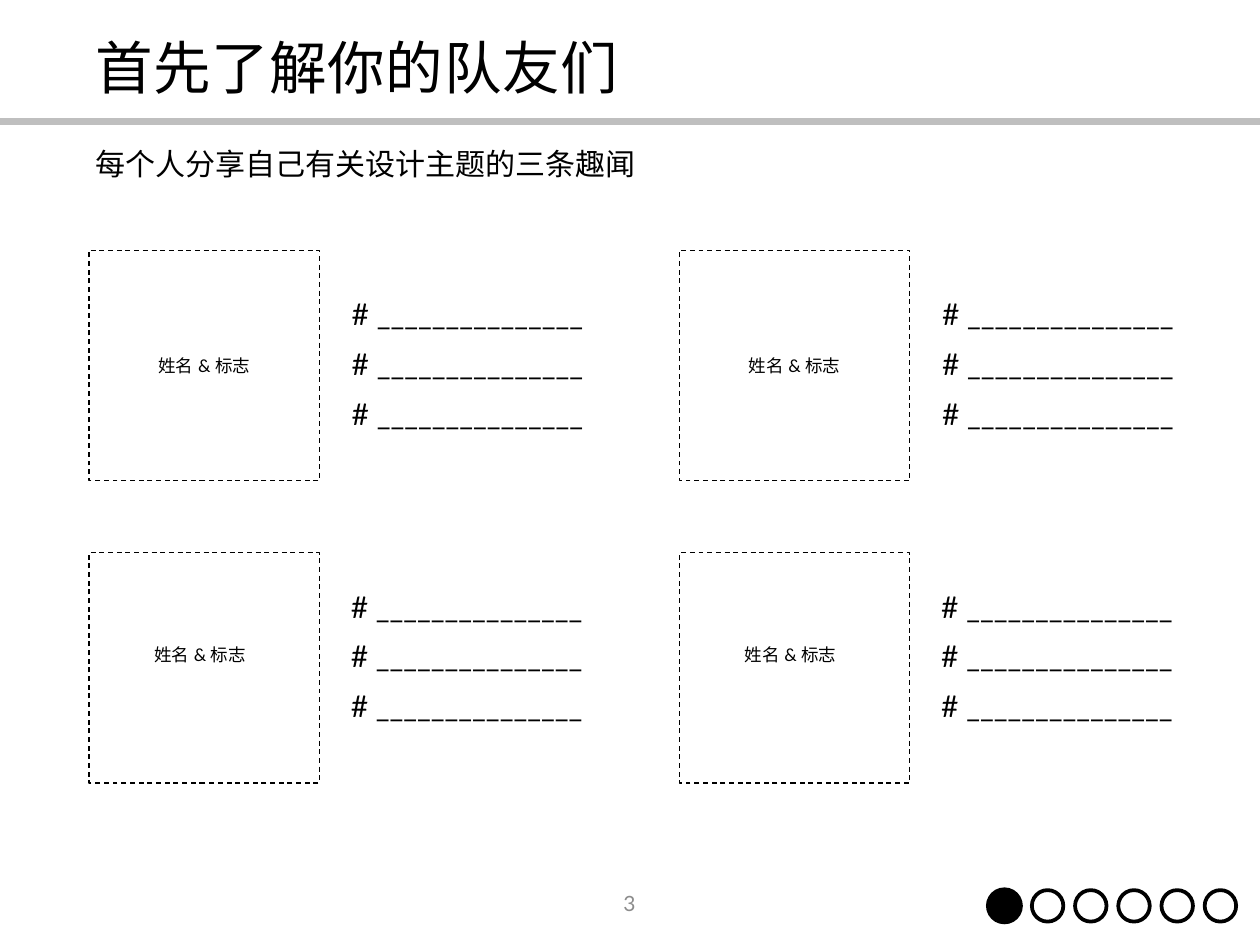
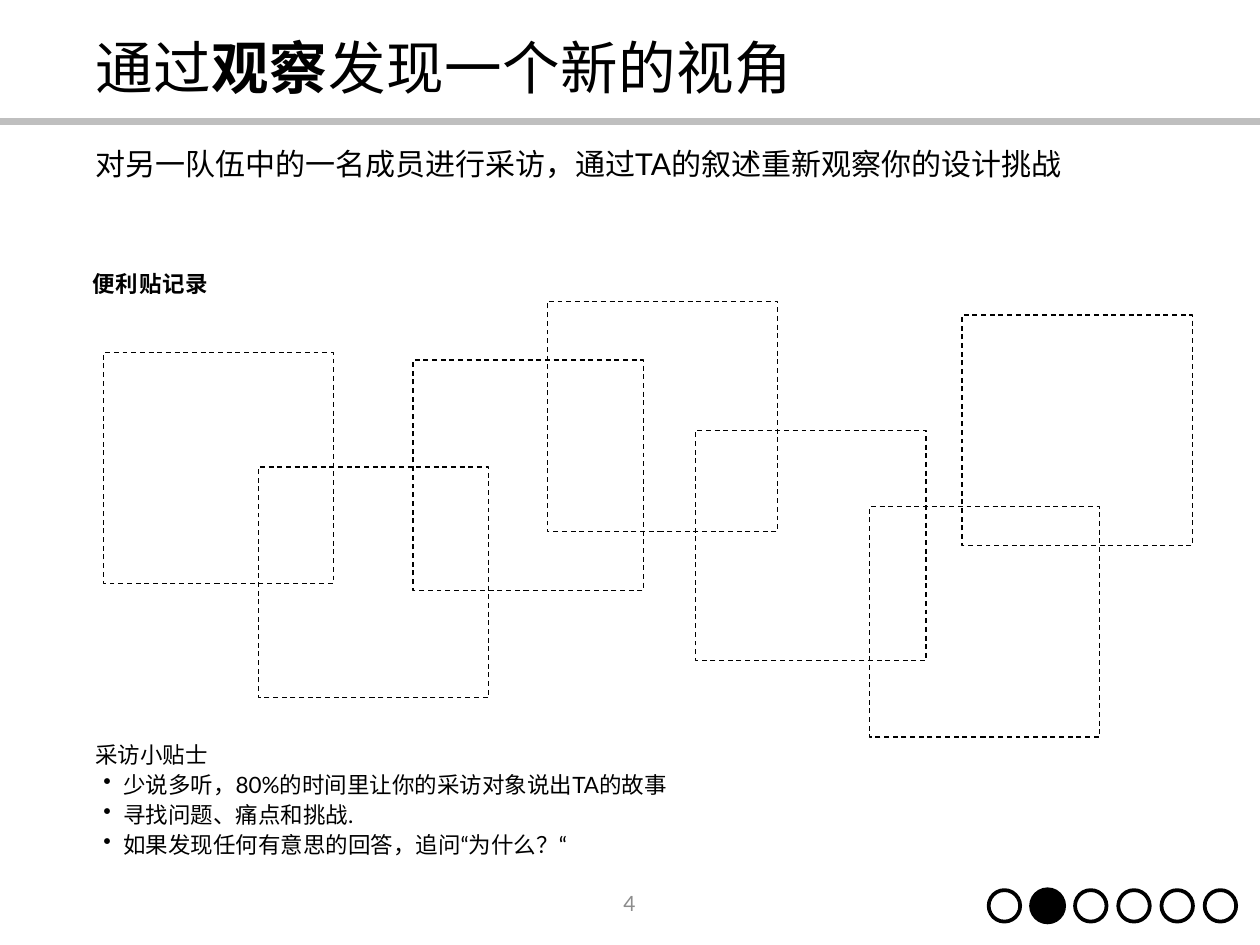
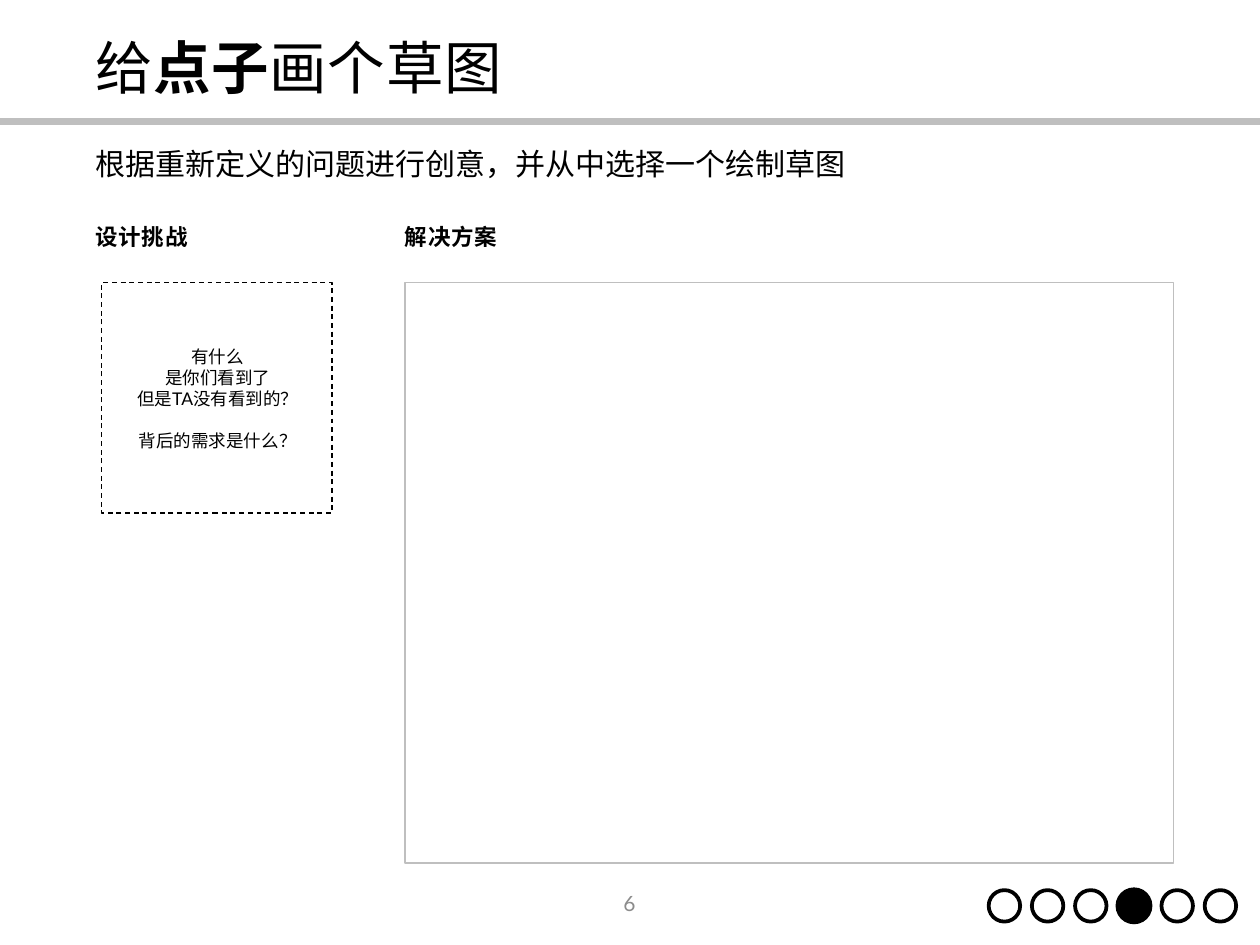
from dataclasses import dataclass

from lxml.etree import SubElement
from pptx import Presentation
from pptx.dml.color import RGBColor
from pptx.enum.dml import MSO_LINE as Dash
from pptx.enum.shapes import MSO_CONNECTOR as Connector, MSO_SHAPE as Shape
from pptx.enum.text import MSO_ANCHOR as Anchor, PP_ALIGN as Align
from pptx.oxml.ns import qn
from pptx.util import Inches, Pt

BLACK = RGBColor(0x00, 0x00, 0x00)
WHITE = RGBColor(0xFF, 0xFF, 0xFF)
SILVER = RGBColor(0xBF, 0xBF, 0xBF)
GRAY = RGBColor(0x8C, 0x8C, 0x8C)

FONT = "Lato"
COLUMNS, ROWS = 140, 105
CELL = Inches(0.1)
NOTE_SIDE = 25.6
STAGES = 6

TITLE = {"size": Pt(46)}
BODY = {"size": Pt(24)}
HEADING = {"size": Pt(18), "bold": True}
TIPS = {"size": Pt(18)}
LABEL = {"size": Pt(14)}
NUMBER = {"size": Pt(16.8)}


@dataclass
class Box:
    """A rectangle measured in grid columns and rows."""
    left: float
    top: float
    width: float
    height: float

    def inner(self, left, top, width, height):
        """Return a box placed relative to this one."""
        return Box(self.left + left, self.top + top, width, height)

    def lengths(self):
        """Return left, top, width and height as slide lengths."""
        return [round(value * CELL) for value in (self.left, self.top, self.width, self.height)]


def apply(target, formats):
    """Set each attribute of the target from a dict of values."""
    for name, value in formats.items():
        setattr(target, name, value)


def write(page, box, lines, font, color=BLACK, tracking=0, para_format=None, frame_format=None):
    """Add a text box; words between asterisks are bold."""
    frame = page.shapes.add_textbox(*box.lengths()).text_frame
    apply(frame, {"word_wrap": True, **(frame_format or {})})
    for index, line in enumerate(lines):
        para = frame.paragraphs[0] if index == 0 else frame.add_paragraph()
        apply(para, para_format or {})
        if index == 0:
            para.space_before = Pt(0)
        for order, words in enumerate(line.split("*")):
            span = para.add_run()
            span.text = words
            apply(span.font, {"name": FONT, "bold": order % 2 == 1, **font})
            span.font.color.rgb = color
            properties = span._r.get_or_add_rPr()
            properties.set("spc", str(tracking))
            SubElement(properties, qn("a:ea"), typeface=FONT)
    return frame


def draw(page, kind, box, fill=None, line=None, line_format=None):
    """Add a flat preset shape with an optional fill and outline."""
    shape = page.shapes.add_shape(kind, *box.lengths())
    shape.shadow.inherit = False
    for paint, color in ((shape.fill, fill), (shape.line.fill, line)):
        if color is None:
            paint.background()
        else:
            paint.solid()
            paint.fore_color.rgb = color
    apply(shape.line, line_format or {})


def sticky_note(page, box):
    """Draw the dashed square of a sticky note."""
    draw(page, Shape.RECTANGLE, box, line=BLACK,
         line_format={"width": Pt(1), "dash_style": Dash.DASH})


def heading(page, box, text, spacing=1.1):
    """Write a bold section heading."""
    write(page, box, [text], HEADING, tracking=70, para_format={"line_spacing": spacing})


def progress(page, box, active):
    """Draw the row of stage circles with the active one filled."""
    pitch = box.width / STAGES
    for stage in range(STAGES):
        side = 4.1 if stage == active else 3.5
        circle = box.inner((stage + 0.5) * pitch - side / 2, (box.height - side) / 2, side, side)
        if stage == active:
            draw(page, Shape.OVAL, circle, fill=BLACK)
        else:
            draw(page, Shape.OVAL, circle, WHITE, BLACK, {"width": Pt(3)})


def start_page(deck, title, task, number, active):
    """Add a page with its title, rule, task, number and progress row."""
    page = deck.slides.add_slide(deck.slide_layouts[6])
    rule_y = round(13.5 * CELL)
    rule = page.shapes.add_connector(Connector.STRAIGHT, 0, rule_y, COLUMNS * CELL, rule_y)
    rule.line.color.rgb = SILVER
    rule.line.width = Pt(5.25)
    SubElement(rule._element.spPr, qn("a:effectLst"))
    write(page, Box(9.6, 1.6, 120.7, 12.6), [title], TITLE, tracking=60,
          para_format={"line_spacing": 0.9}, frame_format={"vertical_anchor": Anchor.MIDDLE})
    write(page, Box(9.6, 16.1, 120.7, 17.4), [task], BODY, para_format={"line_spacing": 0.9})
    write(page, Box(54.2, 97.6, 31.5, 5.6), [number], NUMBER, GRAY,
          para_format={"alignment": Align.CENTER}, frame_format={"vertical_anchor": Anchor.MIDDLE})
    progress(page, Box(109.2, 98.6, 28.8, 4.1), active)
    return page


def teammate(page, box, label, facts):
    """Draw a name card with three blank fact lines beside it."""
    sticky_note(page, box)
    write(page, box.inner(*label), ["姓名 & 标志"], LABEL, para_format={"alignment": Align.CENTER})
    write(page, box.inner(*facts), ["# " + "_" * 15] * 3, BODY,
          para_format={"line_spacing": 0.9, "space_before": Pt(14)})


def team_page(deck):
    """Build the page where the teammates introduce themselves."""
    page = start_page(deck, "首先了解你的队友们", "每个人分享自己有关设计主题的三条趣闻", "3", 0)
    rows = (
        (27.8, (0, 11.1, 25.6, 3.4), (28.2, 5, 32, 17.4)),
        (61.4, (-1.7, 9.7, 28.1, 3.4), (28.1, 3.9, 32, 17.4)),
    )
    for top, label, facts in rows:
        for left in (9.9, 75.5):
            teammate(page, Box(left, top, NOTE_SIDE, NOTE_SIDE), label, facts)


def interview_tips(page, box):
    """Write the bulleted interview tips under their caption."""
    lines = [
        "采访小贴士",
        "少说多听，80%的时间里让你的采访对象说出TA的故事",
        "寻找问题、痛点和挑战.",
        "如果发现任何有意思的回答，追问“为什么？“",
    ]
    frame = write(page, box, lines, TIPS, para_format={"line_spacing": 1.1})
    for para in frame.paragraphs[1:]:
        properties = para._p.get_or_add_pPr()
        properties.set("marL", str(Inches(0.31)))
        properties.set("indent", str(Inches(-0.22)))
        SubElement(properties, qn("a:buChar"), char="•")


def interview_page(deck):
    """Build the page for interview notes."""
    page = start_page(deck, "通过*观察*发现一个新的视角",
                      "对另一队伍中的一名成员进行采访，通过TA的叙述重新观察你的设计挑战", "4", 1)
    heading(page, Box(9.3, 29.5, 15.1, 4), "便利贴记录", 1.0)
    interview_tips(page, Box(9.6, 81.6, 81.1, 14.3))
    wall = Box(11.5, 33.5, 121, 48.4)
    corners = ((0, 5.7), (17.2, 18.4), (49.3, 0), (85.1, 22.8),
               (95.4, 1.5), (34.4, 6.5), (65.8, 14.3))
    for left, top in corners:
        sticky_note(page, wall.inner(left, top, NOTE_SIDE, NOTE_SIDE))


def challenge(page, box):
    """Draw the challenge note with its prompting questions."""
    sticky_note(page, box)
    lines = ["有什么", "是你们看到了", "但是TA没有看到的？", "背后的需求是什么？"]
    frame = write(page, box.inner(0.1, 6.5, 25.6, 12.8), lines, LABEL,
                  para_format={"alignment": Align.CENTER})
    frame.paragraphs[-1].space_before = Pt(16.8)


def sketch_page(deck):
    """Build the page for sketching the chosen idea."""
    page = start_page(deck, "给*点子*画个草图",
                      "根据重新定义的问题进行创意，并从中选择一个绘制草图", "6", 3)
    for left, text in ((9.6, "设计挑战"), (44, "解决方案")):
        heading(page, Box(left, 24, 30.4, 4.1), text)
    draw(page, Shape.RECTANGLE, Box(45, 31.4, 85.4, 64.5), line=SILVER,
         line_format={"width": Pt(1)})
    challenge(page, Box(11.3, 31.4, NOTE_SIDE, NOTE_SIDE))


def main():
    """Build the three workshop pages and save the deck."""
    deck = Presentation()
    deck.slide_width = COLUMNS * CELL
    deck.slide_height = ROWS * CELL
    for build in (team_page, interview_page, sketch_page):
        build(deck)
    deck.save("out.pptx")


if __name__ == "__main__":
    main()
